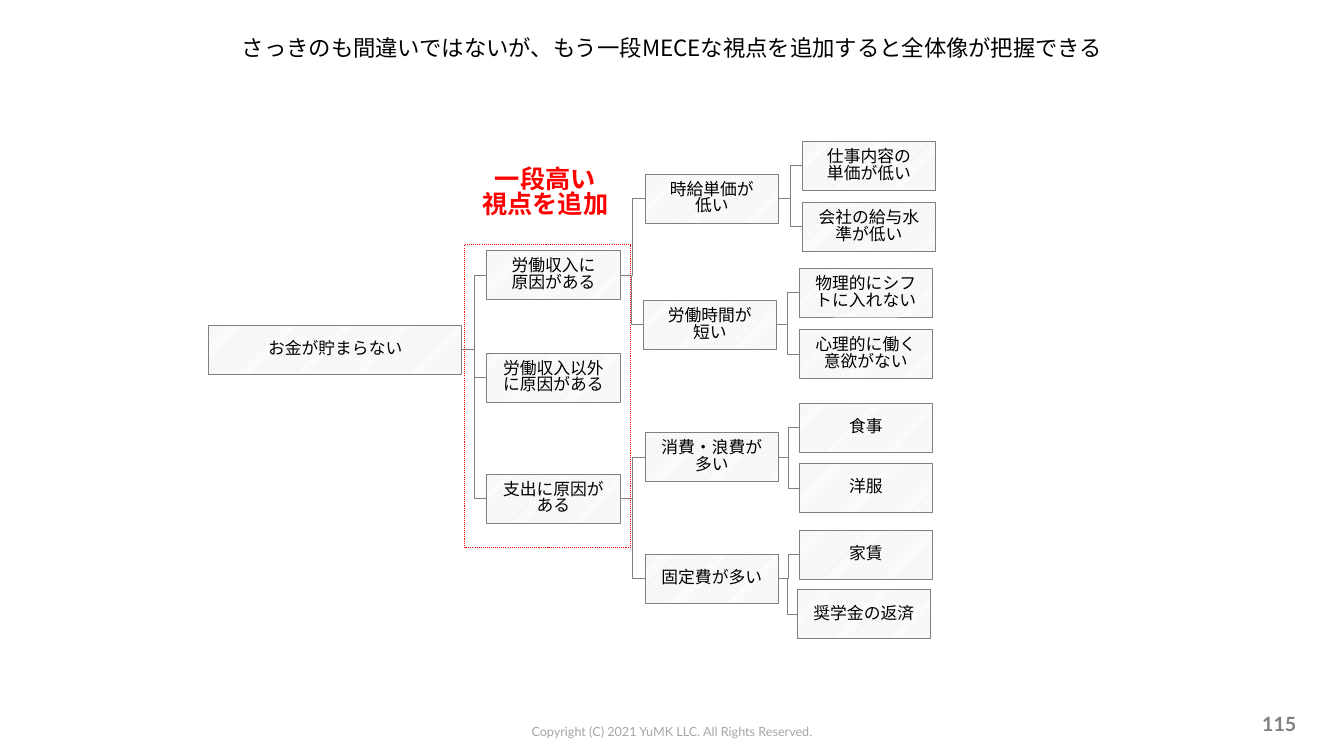
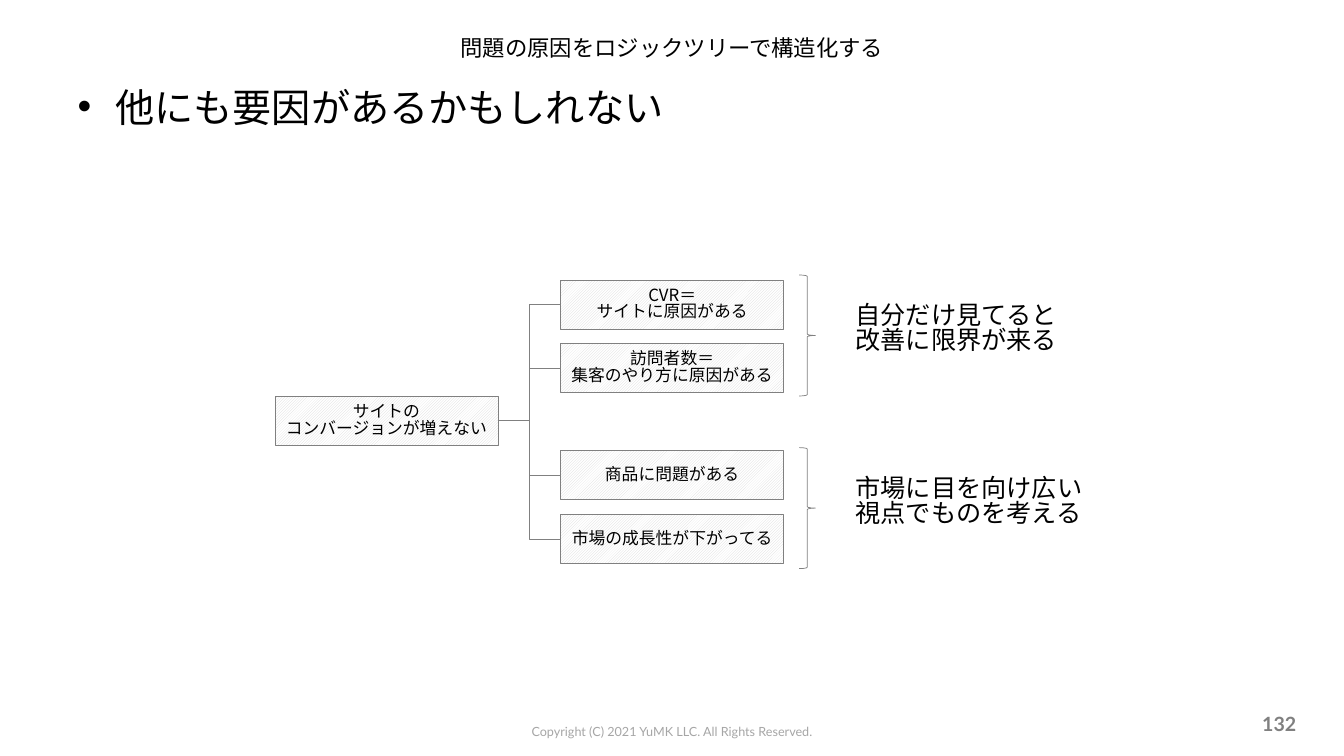
from lxml.etree import SubElement
from pptx import Presentation
from pptx.dml.color import RGBColor
from pptx.enum.dml import MSO_LINE, MSO_PATTERN
from pptx.enum.shapes import MSO_CONNECTOR, MSO_SHAPE
from pptx.enum.text import MSO_ANCHOR, PP_ALIGN
from pptx.oxml.ns import qn
from pptx.util import Cm, Pt

# Shared look
BLACK, GREY, PALE, FOOT, RED, WHITE = "000000", "808080", "D9D9D9", "A6A6A6", "FF0000", "FFFFFF"
JAPANESE, LATIN = "Noto Sans CJK JP", "Lato"
LINE_SPACING = 0.83
BOX_HEIGHT = 1.23
TITLE_AREA = (1.7, 0.56, 30.48, 1.37)
BODY_AREA = (1.7, 2.16, 30.48, 14.71)
FOOTER_AREA = (10.67, 18.11, 12.52, 0.64)
NUMBER_AREA = (25.02, 17.73, 7.9, 1.02)
FOOTER = "Copyright (C) 2021 YuMK LLC. All Rights Reserved."

TITLE = {"size": 16, "align": PP_ALIGN.CENTER, "anchor": MSO_ANCHOR.MIDDLE}
BODY = {"size": 28}
NODE = {"size": 12, "align": PP_ALIGN.CENTER, "anchor": MSO_ANCHOR.MIDDLE}
CALLOUT = {"size": 18, "align": PP_ALIGN.CENTER, "color": RED, "bold": True}
REMARK = {"size": 18}
NUMBER = {"size": 14, "align": PP_ALIGN.RIGHT, "anchor": MSO_ANCHOR.MIDDLE,
          "color": GREY, "bold": True, "font": LATIN, "spacing": 1}
FOOTNOTE = {"size": 9, "align": PP_ALIGN.CENTER, "color": FOOT, "font": LATIN, "spacing": 1}

# Trees: label, left, top, children
MONEY_TREE = ("お金が貯まらない", 5.26, 8.2, [
    ("労働収入に\n原因がある", 12.27, 6.32, [
        ("時給単価が\n低い", 16.26, 4.39, [
            ("仕事内容の\n単価が低い", 20.22, 3.56, []),
            ("会社の給与水準が低い", 20.22, 5.1, [])]),
        ("労働時間が\n短い", 16.21, 7.57, [
            ("物理的にシフトに入れない", 20.14, 6.76, []),
            ("心理的に働く意欲がない", 20.14, 8.31, [])])]),
    ("労働収入以外に原因がある", 12.27, 8.9, []),
    ("支出に原因がある", 12.27, 11.95, [
        ("消費・浪費が多い", 16.26, 10.9, [
            ("食事", 20.14, 10.16, []),
            ("洋服", 20.14, 11.68, [])]),
        ("固定費が多い", 16.26, 13.97, [
            ("家賃", 20.14, 13.36, []),
            ("奨学金の返済", 20.09, 14.86, [])])])])
SITE_TREE = ("サイトの\nコンバージョンが増えない", 6.93, 9.99, [
    ("CVR＝\nサイトに原因がある", 14.13, 7.06, []),
    ("訪問者数＝\n集客のやり方に原因がある", 14.13, 8.66, []),
    ("商品に問題がある", 14.13, 11.36, []),
    ("市場の成長性が下がってる", 14.13, 12.97, [])])
MONEY_WIDTHS = [6.38, 3.36, 3.36, 3.36]
SITE_WIDTHS = [5.62, 5.62]

# Remarks beside the braces: text, top of the brace
SITE_REMARKS = [("自分だけ見てると\n改善に限界が来る", 6.93),
                ("市場に目を向け広い視点でものを考える", 11.28)]
BRACE_LEFT, BRACE_WIDTH, BRACE_HEIGHT = 20.14, 0.41, 3.05
REMARK_LEFT, REMARK_WIDTH, REMARK_HEIGHT = 21.31, 6.25, 1.8


def rgb(value):
    return RGBColor.from_string(value)


def area(*lengths):
    return [Cm(length) for length in lengths]


def place(shape, lengths):
    for name, value in zip(("left", "top", "width", "height"), area(*lengths)):
        setattr(shape, name, value)


def write(shape, text, style):
    """Fill a shape with text, one paragraph a line, in the given style."""
    frame = shape.text_frame
    frame.word_wrap = True
    frame.vertical_anchor = style.get("anchor", MSO_ANCHOR.TOP)
    frame.text = text
    layout = {"alignment": style.get("align", PP_ALIGN.LEFT), "space_before": Pt(0),
              "line_spacing": style.get("spacing", LINE_SPACING)}
    face = {"name": style.get("font", JAPANESE), "size": Pt(style["size"]),
            "bold": style.get("bold", False)}
    for para in frame.paragraphs:
        for name, value in layout.items():
            setattr(para, name, value)
        for span in para.runs:
            for name, value in face.items():
                setattr(span.font, name, value)
            span.font.color.rgb = rgb(style.get("color", BLACK))
            east_asian = SubElement(span.font._element, qn("a:ea"))
            east_asian.set("typeface", face["name"])


def add_text(page, lengths, text, style):
    box = page.shapes.add_textbox(*area(*lengths))
    write(box, text, style)
    return box


def add_outline(page, preset, lengths, color=GREY, weight=0.5):
    """Add an unfilled preset shape with a thin line."""
    shape = page.shapes.add_shape(preset, *area(*lengths))
    shape.shadow.inherit = False
    shape.fill.background()
    shape.line.color.rgb = rgb(color)
    shape.line.width = Pt(weight)
    return shape


def join(page, parent, child):
    link = page.shapes.add_connector(MSO_CONNECTOR.ELBOW, 0, 0, 0, 0)
    link.begin_connect(parent, 3)
    link.end_connect(child, 1)
    link.line.color.rgb = rgb(GREY)
    link.line.width = Pt(0.5)
    SubElement(link.element.spPr, qn("a:effectLst"))


def add_tree(page, node, widths, level=0):
    """Draw a node, then its children, each joined to it."""
    label, left, top, children = node
    box = add_outline(page, MSO_SHAPE.RECTANGLE, (left, top, widths[level], BOX_HEIGHT))
    box.fill.patterned()
    box.fill.pattern = MSO_PATTERN.LIGHT_UPWARD_DIAGONAL
    box.fill.fore_color.rgb = rgb(PALE)
    box.fill.back_color.rgb = rgb(WHITE)
    write(box, label, NODE)
    for child in children:
        join(page, box, add_tree(page, child, widths, level + 1))
    return box


def add_page(deck, layout, title, number):
    page = deck.slides.add_slide(deck.slide_layouts[layout])
    place(page.shapes.title, TITLE_AREA)
    write(page.shapes.title, title, TITLE)
    add_text(page, NUMBER_AREA, number, NUMBER)
    return page


def add_bullet(page, text):
    body = page.placeholders[1]
    place(body, BODY_AREA)
    body.text_frame.text = text
    properties = body.text_frame.paragraphs[0]._p.get_or_add_pPr()
    properties.set("marL", str(Cm(0.95)))
    properties.set("indent", str(-Cm(0.95)))
    color = SubElement(properties, qn("a:buClr"))
    SubElement(color, qn("a:srgbClr")).set("val", GREY)
    SubElement(properties, qn("a:buChar")).set("char", "●")
    write(body, text, BODY)


def add_master_footer(deck, page):
    """Write the footer once and move it to the slide master."""
    footer = add_text(page, FOOTER_AREA, FOOTER, FOOTNOTE)
    footer.element.nvSpPr.cNvPr.set("id", "20")
    deck.slide_master.shapes.element.append(footer.element)


def main():
    deck = Presentation()
    deck.slide_width, deck.slide_height = area(33.87, 19.05)

    # Money tree with the added level marked
    page = add_page(deck, 5, "さっきのも間違いではないが、もう一段MECEな視点を追加すると全体像が把握できる", "115")
    add_master_footer(deck, page)
    add_tree(page, MONEY_TREE, MONEY_WIDTHS)
    marker = add_outline(page, MSO_SHAPE.RECTANGLE, (11.71, 6.17, 4.19, 7.62), RED, 0.75)
    marker.line.dash_style = MSO_LINE.ROUND_DOT
    add_text(page, (11.66, 4.11, 4.17, 1.8), "一段高い\n視点を追加", CALLOUT)

    # Site tree with remarks
    page = add_page(deck, 1, "問題の原因をロジックツリーで構造化する", "132")
    add_bullet(page, "他にも要因があるかもしれない")
    add_tree(page, SITE_TREE, SITE_WIDTHS)
    for text, top in SITE_REMARKS:
        add_outline(page, MSO_SHAPE.RIGHT_BRACE, (BRACE_LEFT, top, BRACE_WIDTH, BRACE_HEIGHT))
        middle = top + (BRACE_HEIGHT - REMARK_HEIGHT) / 2
        add_text(page, (REMARK_LEFT, middle, REMARK_WIDTH, REMARK_HEIGHT), text, REMARK)

    deck.save("out.pptx")


if __name__ == "__main__":
    main()
